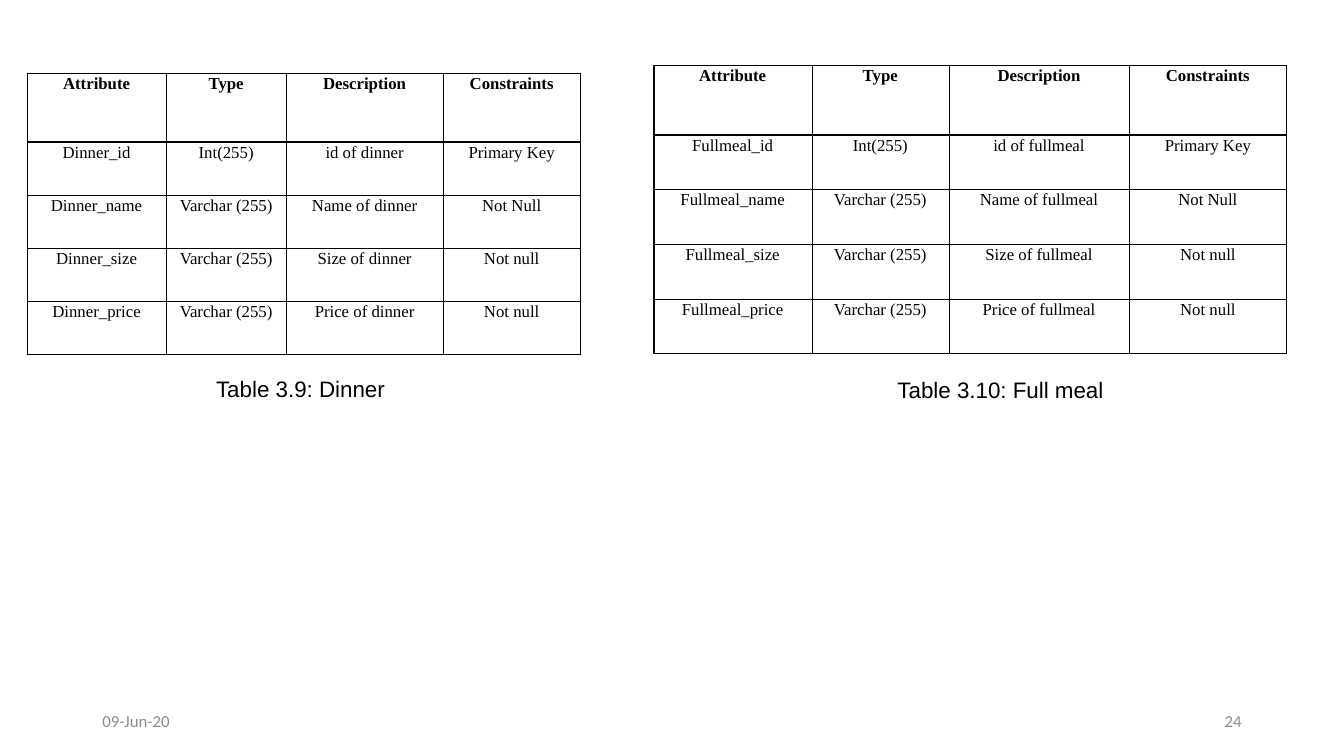
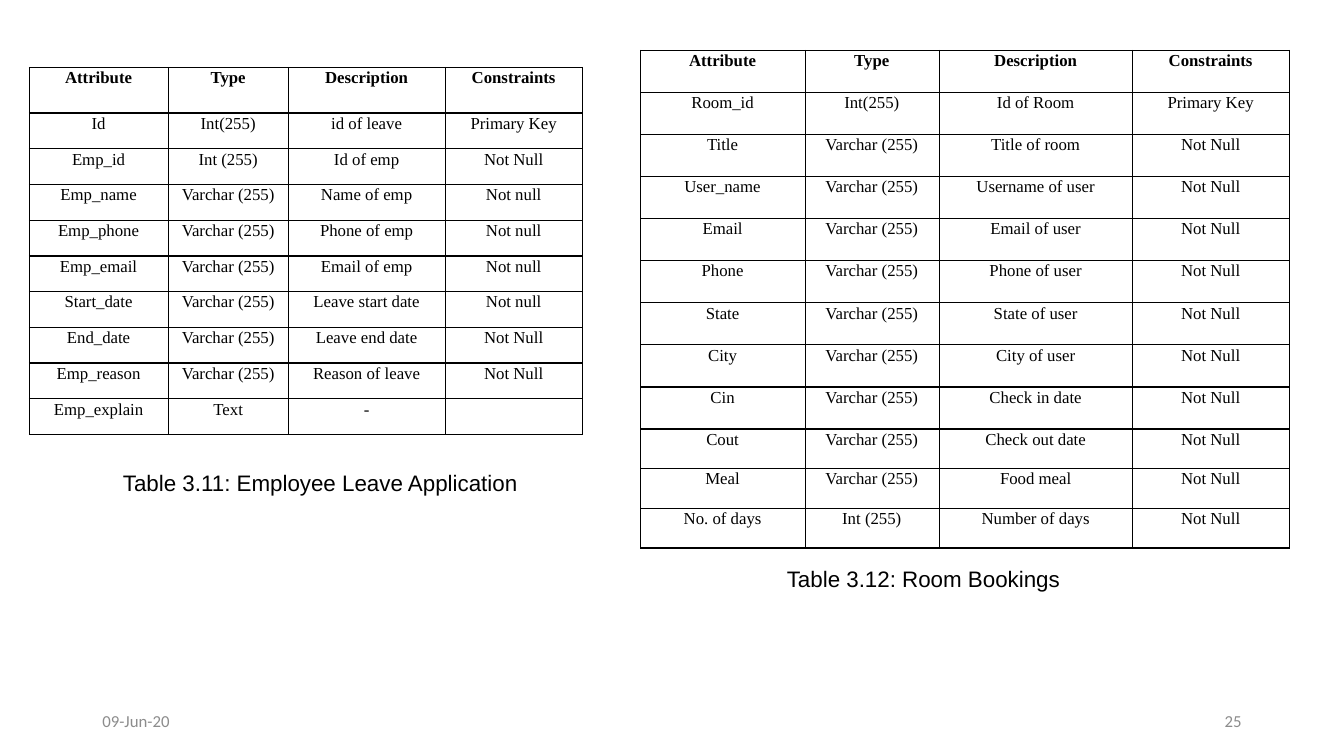
from dataclasses import dataclass

from lxml.etree import SubElement
from pptx import Presentation
from pptx.dml.color import RGBColor
from pptx.enum.text import MSO_ANCHOR, MSO_AUTO_SIZE, PP_ALIGN
from pptx.oxml.ns import qn
from pptx.util import Cm, Pt


@dataclass(frozen=True)
class Theme:
    ink: RGBColor = RGBColor(0x00, 0x00, 0x00)
    muted: RGBColor = RGBColor(0x8C, 0x8C, 0x8C)
    table_font: str = "Times New Roman"
    caption_font: str = "Arial"
    footer_font: str = "Calibri"
    small: Pt = Pt(12)
    caption: Pt = Pt(16)
    rule: Pt = Pt(1)


@dataclass(frozen=True)
class Caption:
    text: str
    place: tuple
    align: PP_ALIGN = PP_ALIGN.CENTER


@dataclass(frozen=True)
class SchemaTable:
    """A database table; lengths are in centimetres."""
    left: float
    top: float
    widths: tuple
    heights: tuple
    fields: tuple
    caption: Caption


THEME = Theme()
DATE = "09-Jun-20"
FIRST_NUMBER = 24
HEADER = ("Attribute", "Type", "Description", "Constraints")
TEXT = "Varchar (255)"
NARROW = (3.51, 3.02, 3.96, 3.45)

DINNER = SchemaTable(
    0.69, 1.85, NARROW, (1.73,) + (1.34,) * 4,
    (
        ("Dinner_id", "Int(255)", "id of dinner", "Primary Key"),
        ("Dinner_name", TEXT, "Name of dinner", "Not Null"),
        ("Dinner_size", TEXT, "Size of dinner", "Not null"),
        ("Dinner_price", TEXT, "Price of dinner", "Not null"),
    ),
    Caption("Table 3.9: Dinner", (1.63, 9.32, 11.89, 0.94)),
)
FULL_MEAL = SchemaTable(
    16.48, 1.65, (3.99, 3.45, 4.55, 3.96), (1.75,) + (1.38,) * 4,
    (
        ("Fullmeal_id", "Int(255)", "id of fullmeal", "Primary Key"),
        ("Fullmeal_name", TEXT, "Name of fullmeal", "Not Null"),
        ("Fullmeal_size", TEXT, "Size of fullmeal", "Not null"),
        ("Fullmeal_price", TEXT, "Price of fullmeal", "Not null"),
    ),
    Caption("Table 3.10: Full meal", (19.08, 9.35, 12.27, 0.94)),
)
LEAVE = SchemaTable(
    0.74, 1.7, NARROW, (1.15,) + (0.9,) * 9,
    (
        ("Id", "Int(255)", "id of leave", "Primary Key"),
        ("Emp_id", "Int (255)", "Id of emp", "Not Null"),
        ("Emp_name", TEXT, "Name of emp", "Not null"),
        ("Emp_phone", TEXT, "Phone of emp", "Not null"),
        ("Emp_email", TEXT, "Email of emp", "Not null"),
        ("Start_date", TEXT, "Leave start date", "Not null"),
        ("End_date", TEXT, "Leave end date", "Not Null"),
        ("Emp_reason", TEXT, "Reason of leave", "Not Null"),
        ("Emp_explain", "Text", "-", ""),
    ),
    Caption("Table 3.11: Employee Leave Application", (2.29, 11.68, 11.56, 0.94)),
)
ROOMS = SchemaTable(
    16.15, 1.27, (4.14, 3.38, 4.88, 3.94), (1.06,) * 9 + (1.0,) * 3,
    (
        ("Room_id", "Int(255)", "Id of Room", "Primary Key"),
        ("Title", TEXT, "Title of room", "Not Null"),
        ("User_name", TEXT, "Username of user", "Not Null"),
        ("Email", TEXT, "Email of user", "Not Null"),
        ("Phone", TEXT, "Phone of user", "Not Null"),
        ("State", TEXT, "State of user", "Not Null"),
        ("City", TEXT, "City of user", "Not Null"),
        ("Cin", TEXT, "Check in date", "Not Null"),
        ("Cout", TEXT, "Check out date", "Not Null"),
        ("Meal", TEXT, "Food meal", "Not Null"),
        ("No. of days", "Int (255)", "Number of days", "Not Null"),
    ),
    Caption("Table 3.12: Room Bookings", (19.58, 14.12, 13.54, 0.94), PP_ALIGN.LEFT),
)


def add_span(para, text, font, size, color, bold=False):
    span = para.add_run()
    span.text = text
    span.font.name = font
    span.font.size = size
    span.font.bold = bold
    span.font.color.rgb = color


def add_text(page, text, place, align, font, size, color):
    box = page.shapes.add_textbox(*map(Cm, place))
    frame = box.text_frame
    frame.word_wrap = True
    frame.auto_size = MSO_AUTO_SIZE.NONE
    frame.vertical_anchor = MSO_ANCHOR.MIDDLE
    para = frame.paragraphs[0]
    para.alignment = align
    add_span(para, text, font, size, color)


def add_footer(page, number):
    style = (THEME.footer_font, THEME.small, THEME.muted)
    add_text(page, DATE, (2.33, 17.65, 7.62, 1.02), PP_ALIGN.LEFT, *style)
    add_text(page, str(number), (23.92, 17.65, 7.62, 1.02), PP_ALIGN.RIGHT, *style)


def add_borders(cell):
    properties = cell._tc.get_or_add_tcPr()
    for side in ("a:lnL", "a:lnR", "a:lnT", "a:lnB"):
        line = SubElement(properties, qn(side), w=str(int(THEME.rule)))
        fill = SubElement(line, qn("a:solidFill"))
        SubElement(fill, qn("a:srgbClr"), val=str(THEME.ink))


def fill_cell(cell, text, bold):
    add_borders(cell)
    cell.fill.background()
    cell.margin_left, cell.margin_right = Cm(0.18), Cm(0.2)
    cell.margin_top = cell.margin_bottom = 0
    para = cell.text_frame.paragraphs[0]
    para.alignment = PP_ALIGN.CENTER
    para.line_spacing = 1.07
    if text:
        add_span(para, text, THEME.table_font, THEME.small, THEME.ink, bold)


def add_schema(page, schema):
    """Draws one database table with its caption."""
    rows = (HEADER, *schema.fields)
    size = (sum(schema.widths), sum(schema.heights))
    table = page.shapes.add_table(
        len(rows), len(HEADER), *map(Cm, (schema.left, schema.top, *size))
    ).table
    table.horz_banding = False
    for column, width in zip(table.columns, schema.widths):
        column.width = Cm(width)
    for index, (row, height, texts) in enumerate(zip(table.rows, schema.heights, rows)):
        row.height = Cm(height)
        for cell, text in zip(row.cells, texts):
            fill_cell(cell, text, bold=index == 0)
    caption = schema.caption
    add_text(page, caption.text, caption.place, caption.align,
             THEME.caption_font, THEME.caption, THEME.ink)


def main():
    deck = Presentation()
    deck.slide_width, deck.slide_height = Cm(33.87), Cm(19.05)
    blank = deck.slide_layouts[6]
    for number, schemas in enumerate(((DINNER, FULL_MEAL), (LEAVE, ROOMS)), FIRST_NUMBER):
        page = deck.slides.add_slide(blank)
        add_footer(page, number)
        for schema in schemas:
            add_schema(page, schema)
    deck.save("out.pptx")


if __name__ == "__main__":
    main()
